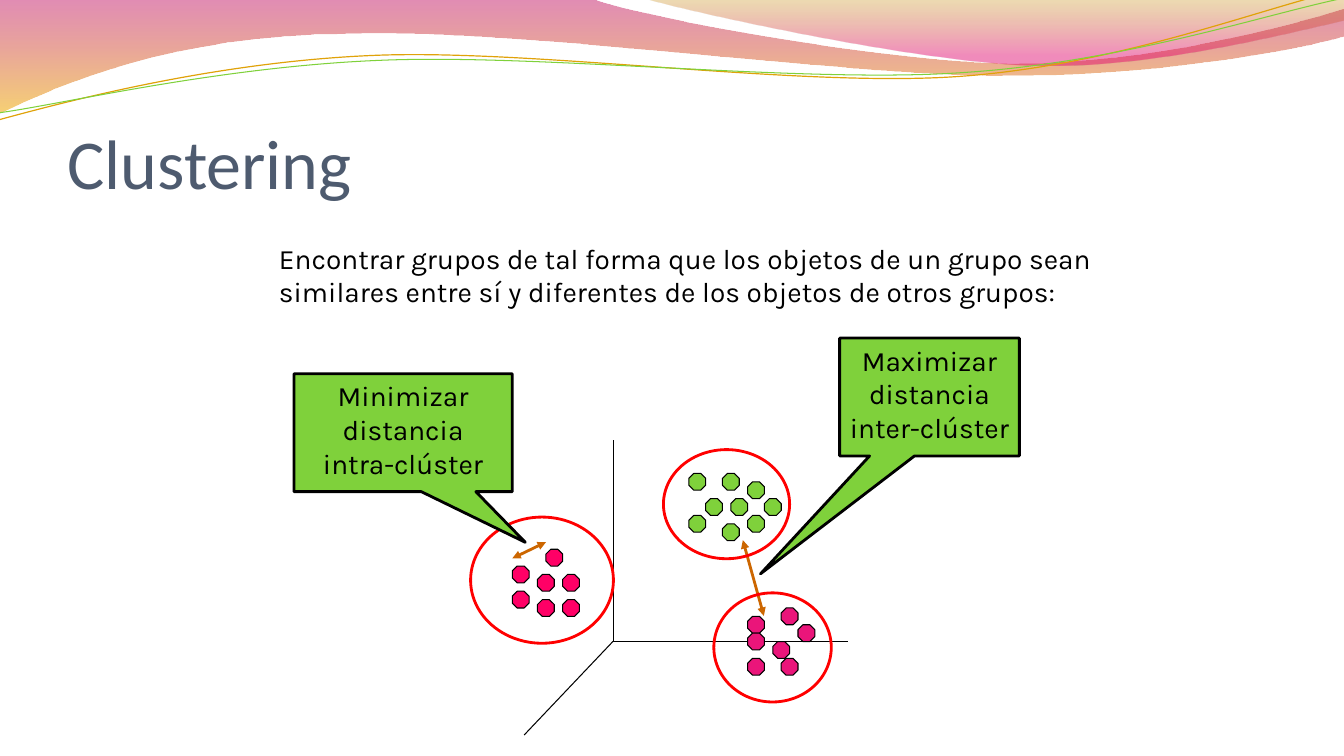
"""Build the Clustering slide."""
from lxml import etree
from pptx import Presentation
from pptx.dml.color import RGBColor
from pptx.enum import shapes, text
from pptx.oxml import ns
from pptx.util import Cm, Pt

BLACK = RGBColor(0x00, 0x00, 0x00)
SLATE = RGBColor(0x4E, 0x5B, 0x6F)
GREEN = RGBColor(0x7F, 0xD1, 0x3B)
ROSE = RGBColor(0xFF, 0x00, 0x66)
MAGENTA = RGBColor(0xEA, 0x15, 0x7A)
RED = RGBColor(0xFF, 0x00, 0x00)
BROWN = RGBColor(0xCC, 0x66, 0x00)
AMBER = RGBColor(0xE0, 0xA2, 0x09)
WINE = RGBColor(0xBD, 0x00, 0x59)
GOLD = RGBColor(0xF0, 0xAB, 0x00)
OCHRE = RGBColor(0xC3, 0x8B, 0x00)
PINK = RGBColor(0xE1, 0x00, 0x6B)

DOT_STEP = 2.54 / 12
DOT_SIZE = 2 * DOT_STEP

BROAD_WAVE = [
    (0, -0.03), (14.91, -0.03),
    (16.1, 0.43, 22.48, 1.6, 25.68, 1.6),
    (28.91, 1.6, 32.46, 0.66, 33.86, 0.23),
    (33.91, 0.91),
    (33.3, 1.12, 29.46, 1.93, 25.25, 1.91),
    (21.06, 1.91, 12.93, 0.71, 8.71, 0.86),
    (4.37, 0.89, 1.55, 2.11, -0.03, 2.87),
]
RIGHT_WAVE = [
    (16.23, -0.03),
    (17.25, 0.28, 23.09, 1.57, 26.04, 1.65),
    (28.98, 1.75, 32.56, 0.81, 33.86, 0.53),
    (33.86, 0),
]
AMBER_THREAD = [
    (-0.03, 3.02),
    (1.63, 2.57, 5.36, 1.57, 9.37, 1.4),
    (13.39, 1.22, 20.07, 2.21, 24.13, 1.93),
    (28.19, 1.65, 31.8, 0.2, 33.81, -0.25),
]
GREEN_THREAD = [
    (0, 2.84),
    (1.6, 2.62, 5.54, 1.68, 9.6, 1.52),
    (13.64, 1.35, 20.22, 2.11, 24.26, 1.83),
    (28.32, 1.57, 31.88, 0.36, 33.88, -0.05),
]
CLUSTERS = [
    (GREEN, 17.36, 11.93, [(2, 3), (5, 3), (4, 0), (4, 6), (9, 3),
                           (7, 1), (0, 0), (7, 5), (0, 5)]),
    (ROSE, 12.91, 13.84, [(0, 2), (3, 3), (3, 6), (6, 3), (4, 0),
                          (6, 6), (0, 5)]),
    (MAGENTA, 18.84, 15.32, [(0, 1), (6, 2), (3, 4), (0, 6), (4, 6),
                             (0, 3), (4, 0)]),
]
RINGS = [
    (11.86, 13.03, 3.6, 3.18),
    (16.72, 11.33, 3.18, 2.75),
    (17.99, 14.94, 2.96, 2.75),
]


def add_outline(slide, segments, close):
    """Add a freeform of straight and cubic segments."""
    start, *rest = [(Cm(x), Cm(y)) for segment in segments
                    for x, y in zip(segment[::2], segment[1::2])]
    builder = slide.shapes.build_freeform(*start)
    builder.add_line_segments(rest, close=close)
    outline = builder.convert_to_shape()
    outline.shadow.inherit = False
    steps = iter(list(outline.element.spPr.iter(ns.qn("a:lnTo"))))
    for segment in segments[1:]:
        step = next(steps)
        if len(segment) == 6:
            step.tag = ns.qn("a:cubicBezTo")
            for _ in range(2):
                control = next(steps)
                step.append(control[0])
                control.getparent().remove(control)
    return outline


def add_wave(slide, segments, stops):
    """Add a borderless wave with a translucent vertical gradient."""
    wave = add_outline(slide, segments, True)
    wave.line.fill.background()
    wave.fill.gradient()
    wave.fill.gradient_angle = 270
    for stop, (position, color, _) in zip(wave.fill.gradient_stops, stops):
        stop.position = position
        stop.color.rgb = color
    colors = wave.element.spPr.iter(ns.qn("a:srgbClr"))
    for color, (_, _, opacity) in zip(colors, stops):
        etree.SubElement(color, ns.qn("a:alpha"), val=str(opacity * 1000))


def add_thread(slide, segments, color, width):
    """Add a thin open curve."""
    thread = add_outline(slide, segments, False)
    thread.fill.background()
    thread.line.color.rgb = color
    thread.line.width = Pt(width)


def write(frame, words, *, size=20, font="Karla", color=BLACK, align=text.PP_ALIGN.LEFT,
          anchor=text.MSO_ANCHOR.TOP, left=0.25, top=0.13, right=0.25, bottom=0.13):
    """Fill a text frame with one formatted paragraph."""
    frame.word_wrap = True
    frame.vertical_anchor = anchor
    frame.margin_left, frame.margin_right = Cm(left), Cm(right)
    frame.margin_top, frame.margin_bottom = Cm(top), Cm(bottom)
    paragraph = frame.paragraphs[0]
    paragraph.text = words
    paragraph.alignment = align
    paragraph.font.size = Pt(size)
    paragraph.font.name = font
    paragraph.font.color.rgb = color


def add_text(slide, box, words, **style):
    """Add a text box."""
    write(slide.shapes.add_textbox(*map(Cm, box)).text_frame, words, **style)


def add_figure(slide, kind, box, fill=None, line=BLACK, width=0.75):
    """Add a preset shape with an optional fill."""
    figure = slide.shapes.add_shape(kind, *map(Cm, box))
    figure.shadow.inherit = False
    if fill is None:
        figure.fill.background()
    else:
        figure.fill.solid()
        figure.fill.fore_color.rgb = fill
    figure.line.color.rgb = line
    figure.line.width = Pt(width)
    return figure


def add_callout(slide, box, tip, words):
    """Add a green callout whose pointer ends at the tip."""
    callout = add_figure(slide, shapes.MSO_SHAPE.RECTANGULAR_CALLOUT, box, GREEN, width=2)
    callout.adjustments[0], callout.adjustments[1] = tip
    write(callout.text_frame, words, align=text.PP_ALIGN.CENTER, left=0.1, right=0.1)


def add_line(slide, start, end, color=BLACK, width=0.75, arrows=False):
    """Add a straight line, with arrowheads at both ends on request."""
    line = slide.shapes.add_connector(shapes.MSO_CONNECTOR.STRAIGHT, *map(Cm, start + end))
    line.line.color.rgb = color
    line.line.width = Pt(width)
    if arrows:
        outline = line.element.spPr.find(ns.qn("a:ln"))
        for end_tag in ("a:headEnd", "a:tailEnd"):
            etree.SubElement(outline, ns.qn(end_tag), type="triangle")
    etree.SubElement(line.element.spPr, ns.qn("a:effectLst"))


def add_cluster(slide, color, left, top, cells):
    """Add the octagonal dots of one cluster on its grid."""
    for column, row in cells:
        box = (left + column * DOT_STEP, top + row * DOT_STEP, DOT_SIZE, DOT_SIZE)
        add_figure(slide, shapes.MSO_SHAPE.OCTAGON, box, color)


def main():
    """Build and save the slide."""
    deck = Presentation()
    deck.slide_width, deck.slide_height = Cm(33.87), Cm(19.05)
    slide = deck.slides.add_slide(deck.slide_layouts[6])

    add_wave(slide, BROAD_WAVE, [(0, WINE, 45), (1, GOLD, 55)])
    add_wave(slide, RIGHT_WAVE, [(0, OCHRE, 30), (0.8, PINK, 45)])
    add_thread(slide, AMBER_THREAD, AMBER, 0.85)
    add_thread(slide, GREEN_THREAD, GREEN, 0.75)

    add_text(slide, (1.7, 1.96, 30.76, 3.18), "Clustering", size=50, font="Calibri",
             color=SLATE, anchor=text.MSO_ANCHOR.BOTTOM, left=0, right=0, bottom=0)
    add_text(slide, (5.82, 4.95, 23.83, 13.13),
             "Encontrar grupos de tal forma que los objetos de un grupo sean similares "
             "entre sí y diferentes de los objetos de otros grupos:", left=1.21, top=1.13)

    origin = (15.45, 16.16)
    for axis_end in [(15.45, 11.08), (21.38, 16.16), (13.21, 18.52)]:
        add_line(slide, origin, axis_end)
    for cluster in CLUSTERS:
        add_cluster(slide, *cluster)

    add_line(slide, (19.25, 15.52), (18.72, 13.61), BROWN, 2, arrows=True)
    add_callout(slide, (21.16, 8.52, 4.53, 2.97), (-0.94, 1.5),
                "Maximizar distancia\vinter-clúster")
    for ring in RINGS:
        add_figure(slide, shapes.MSO_SHAPE.OVAL, ring, line=RED, width=2)
    add_line(slide, (12.91, 14.07), (13.76, 13.66), BROWN, 2, arrows=True)
    add_callout(slide, (7.41, 9.42, 5.5, 2.97), (0.56, 0.93),
                "Minimizar distancia\vintra-clúster")
    deck.save("out.pptx")


if __name__ == "__main__":
    main()
